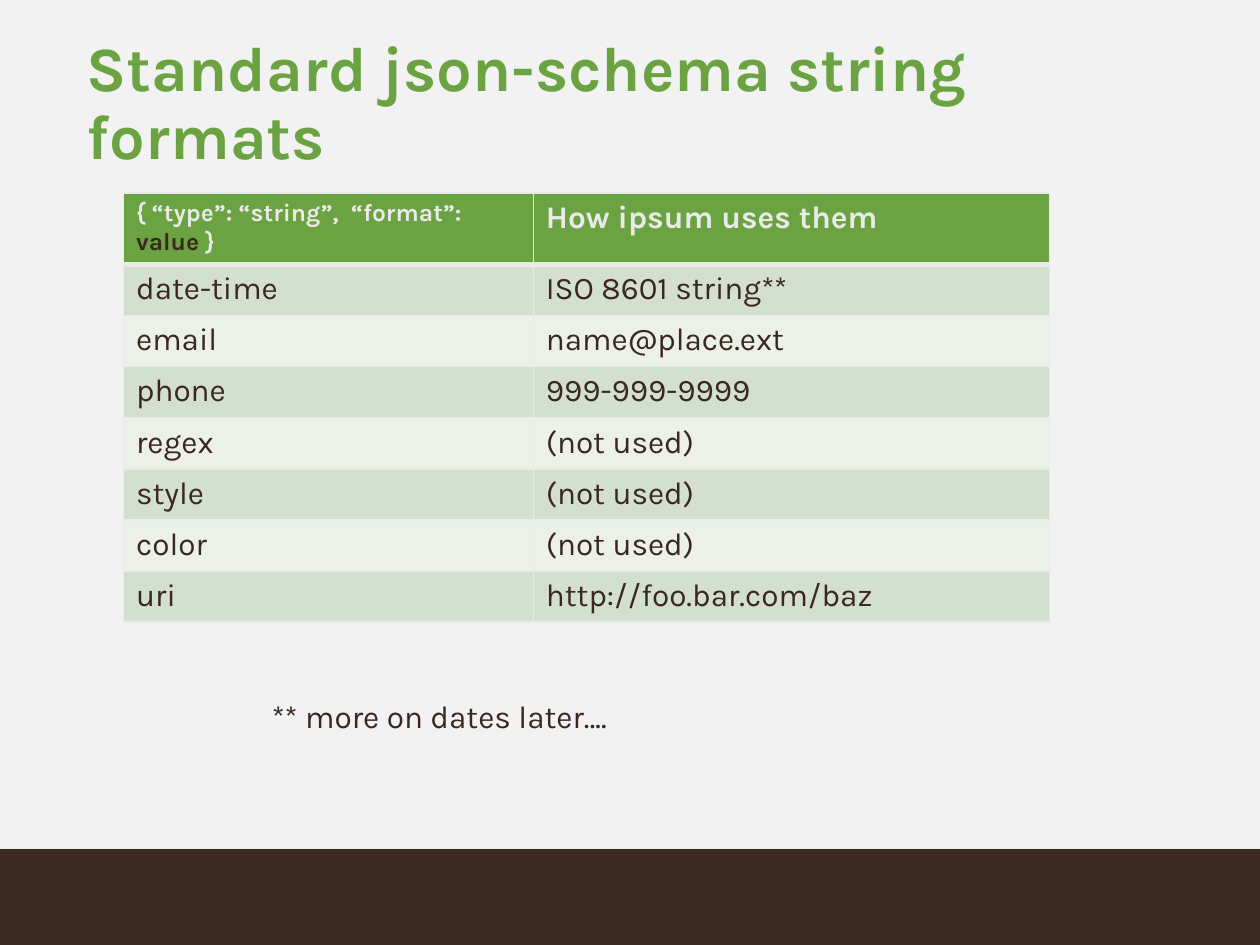
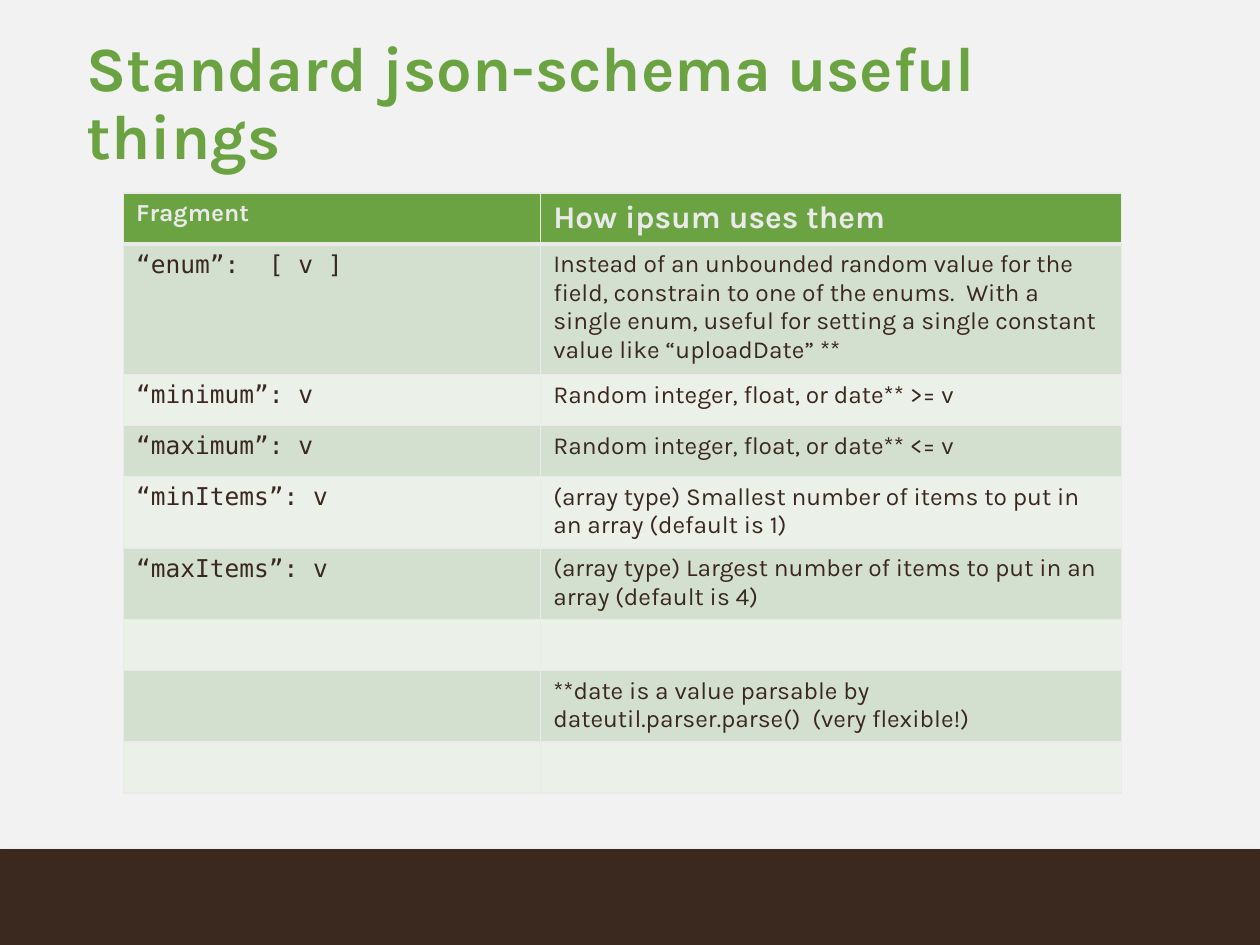
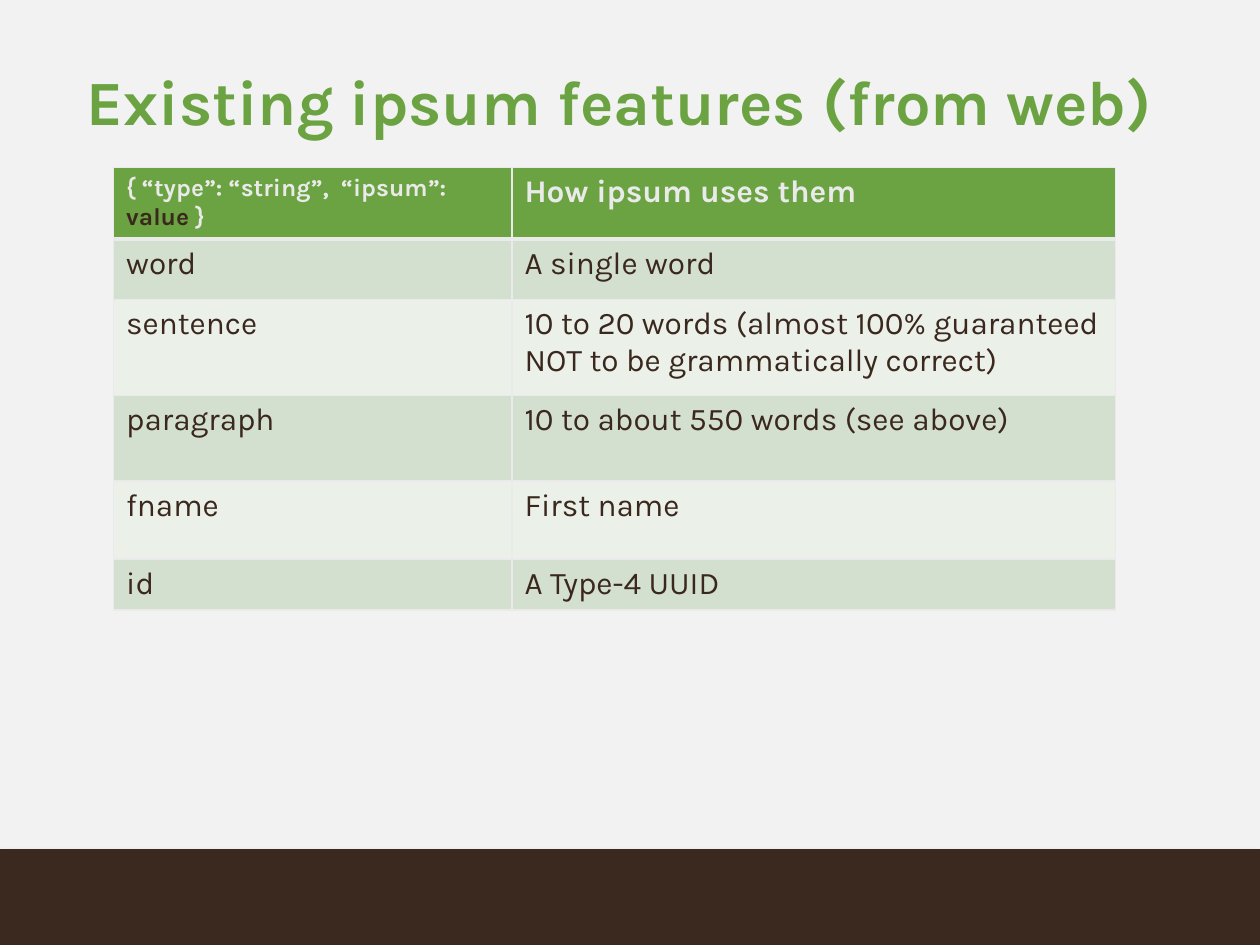
from collections import namedtuple

from pptx import Presentation
from pptx.dml.color import RGBColor
from pptx.enum.shapes import MSO_SHAPE
from pptx.enum.text import MSO_ANCHOR
from pptx.oxml.ns import qn
from pptx.util import Cm, Pt
from lxml import etree

RECTANGLE = MSO_SHAPE.RECTANGLE
MIDDLE = MSO_ANCHOR.MIDDLE

BACKGROUND = "F2F2F2"
BAND = "3B291F"
GREEN = "6BA342"
INK = "3A281E"
PALE = "EAEAEA"
STRIPES = ("D4E0CF", "EBF0E9")
SANS = "Karla"
MONO = "DejaVu Sans Mono"

# Row heights in centimetres
ONE_LINE = 1.03
TWO_LINES = 1.4
FOUR_LINES = 2.56

Box = namedtuple("Box", "left top width height")
PAGE = Box(0, 0, 25.4, 19.05)
TITLE_BOX = Box(1.75, 0.94, 21.95, 2.36)
NOTE_BOX = Box(5.23, 13.92, 10.57, 1.02)
BAND_HEIGHT = 1.93

USAGE = "How ipsum uses them"

FORMATS = [
    ("date-time", "ISO 8601 string**"),
    ("email", "name@place.ext"),
    ("phone", "999-999-9999"),
    ("regex", "(not used)"),
    ("style", "(not used)"),
    ("color", "(not used)"),
    ("uri", "http://foo.bar.com/baz"),
]
FRAGMENTS = [
    ("“enum”:  [ v ]",
     "Instead of an unbounded random value for the field, constrain to one of "
     "the enums.  With a single enum, useful for setting a single constant "
     "value like “uploadDate” **"),
    ("“minimum”: v", "Random integer, float, or date** >= v"),
    ("“maximum”: v", "Random integer, float, or date** <= v"),
    ("“minItems”: v",
     "(array type) Smallest number of items to put in an array (default is 1)"),
    ("“maxItems”: v",
     "(array type) Largest number of items to put in an array (default is 4)"),
    ("", ""),
    ("", "**date is a value parsable by dateutil.parser.parse()  (very flexible!)"),
    ("", ""),
]
FEATURES = [
    ("word", "A single word"),
    ("sentence",
     "10 to 20 words (almost 100% guaranteed NOT to be grammatically correct)"),
    ("paragraph", "10 to about 550 words (see above)"),
    ("fname", "First name"),
    ("id", "A Type-4 UUID"),
]


def color(value):
    return RGBColor.from_string(value)


def lengths(box):
    return [Cm(value) for value in box]


def write(para, spans, size, font=SANS, bold=False):
    """Add (text, colour) spans to a paragraph in one type style."""
    for text, ink in spans:
        if text:
            span = para.add_run()
            span.text = text
            span.font.name = font
            span.font.size = Pt(size)
            span.font.bold = bold
            span.font.color.rgb = color(ink)


def add_text(page, box, text, size, ink, bold=False):
    frame = page.shapes.add_textbox(*lengths(box)).text_frame
    frame.word_wrap = True
    write(frame.paragraphs[0], [(text, ink)], size, bold=bold)
    return frame


def add_title(page, box, text):
    frame = add_text(page, box, text, 36, GREEN, bold=True)
    frame.vertical_anchor = MIDDLE
    frame.margin_left = frame.margin_right = 0
    frame.margin_top = frame.margin_bottom = 0
    frame.paragraphs[0].line_spacing = 0.9


def add_band(page, box):
    """Draw the dark strip along the foot of the box, with its soft shadow."""
    top = box.top + box.height - BAND_HEIGHT
    band = page.shapes.add_shape(
        RECTANGLE, *lengths((box.left, top, box.width, BAND_HEIGHT)))
    band.fill.solid()
    band.fill.fore_color.rgb = color(BAND)
    band.line.fill.background()
    band.shadow.inherit = False
    effects = band._element.spPr.find(qn("a:effectLst"))
    shadow = etree.SubElement(effects, qn("a:outerShdw"), blurRad=str(Pt(3.1)),
                              dist=str(Pt(1.8)), dir="5400000", rotWithShape="0")
    tint = etree.SubElement(shadow, qn("a:srgbClr"), val="000000")
    etree.SubElement(tint, qn("a:alpha"), val="35000")


def add_page(deck, title):
    page = deck.slides.add_slide(deck.slide_layouts[6])
    page.background.fill.solid()
    page.background.fill.fore_color.rgb = color(BACKGROUND)
    add_band(page, PAGE)
    add_title(page, TITLE_BOX, title)
    return page


def style_cell(cell, fill, top=1, bottom=1):
    """Set the fill and the borders, whose widths are in points."""
    properties = cell._tc.get_or_add_tcPr()
    for side, width in (("L", 1), ("R", 1), ("T", top), ("B", bottom)):
        line = etree.SubElement(properties, qn("a:ln" + side), w=str(Pt(width)))
        paint = etree.SubElement(line, qn("a:solidFill"))
        etree.SubElement(paint, qn("a:srgbClr"), val=PALE)
    cell.fill.solid()
    cell.fill.fore_color.rgb = color(fill)


def add_usage_table(page, left, top, widths, heights, heading, entries,
                    size=18, key_font=SANS):
    box = Box(left, top, sum(widths), sum(heights))
    table = page.shapes.add_table(
        len(heights), len(widths), *lengths(box)).table
    table.horz_banding = False
    for column, width in zip(table.columns, widths):
        column.width = Cm(width)
    for row, height in zip(table.rows, heights):
        row.height = Cm(height)

    headings = ((heading, 14), ([(USAGE, PALE)], 18))
    for cell, (spans, heading_size) in zip(table.rows[0].cells, headings):
        style_cell(cell, GREEN, bottom=3)
        write(cell.text_frame.paragraphs[0], spans, heading_size, bold=True)

    for index, entry in enumerate(entries):
        cells = table.rows[index + 1].cells
        for cell, text, font in zip(cells, entry, (key_font, SANS)):
            style_cell(cell, STRIPES[index % 2], top=3 if index == 0 else 1)
            write(cell.text_frame.paragraphs[0], [(text, INK)], size, font)


def value_heading(keyword):
    return [(f"{{ “type”: “string”,  “{keyword}”: ", PALE),
            ("value", INK), (" }", PALE)]


def main():
    deck = Presentation()
    deck.slide_width, deck.slide_height = Cm(PAGE.width), Cm(PAGE.height)

    page = add_page(deck, "Standard json-schema string formats")
    add_usage_table(page, 2.49, 3.89, (8.26, 10.41),
                    [TWO_LINES] + [ONE_LINE] * len(FORMATS),
                    value_heading("format"), FORMATS)
    add_text(page, NOTE_BOX, "** more on dates later….", 18, INK)

    page = add_page(deck, "Standard json-schema useful things")
    add_usage_table(page, 2.49, 3.89, (8.41, 11.71),
                    [ONE_LINE, FOUR_LINES, ONE_LINE, ONE_LINE, TWO_LINES,
                     TWO_LINES, ONE_LINE, TWO_LINES, ONE_LINE],
                    [("Fragment", PALE)], FRAGMENTS, size=14, key_font=MONO)

    page = add_page(deck, "Existing ipsum features (from web)")
    add_usage_table(page, 2.29, 3.38, (8.03, 12.17),
                    [TWO_LINES, 1.22, 1.93, 1.73, 1.57, ONE_LINE],
                    value_heading("ipsum"), FEATURES)

    deck.save("out.pptx")


if __name__ == "__main__":
    main()
